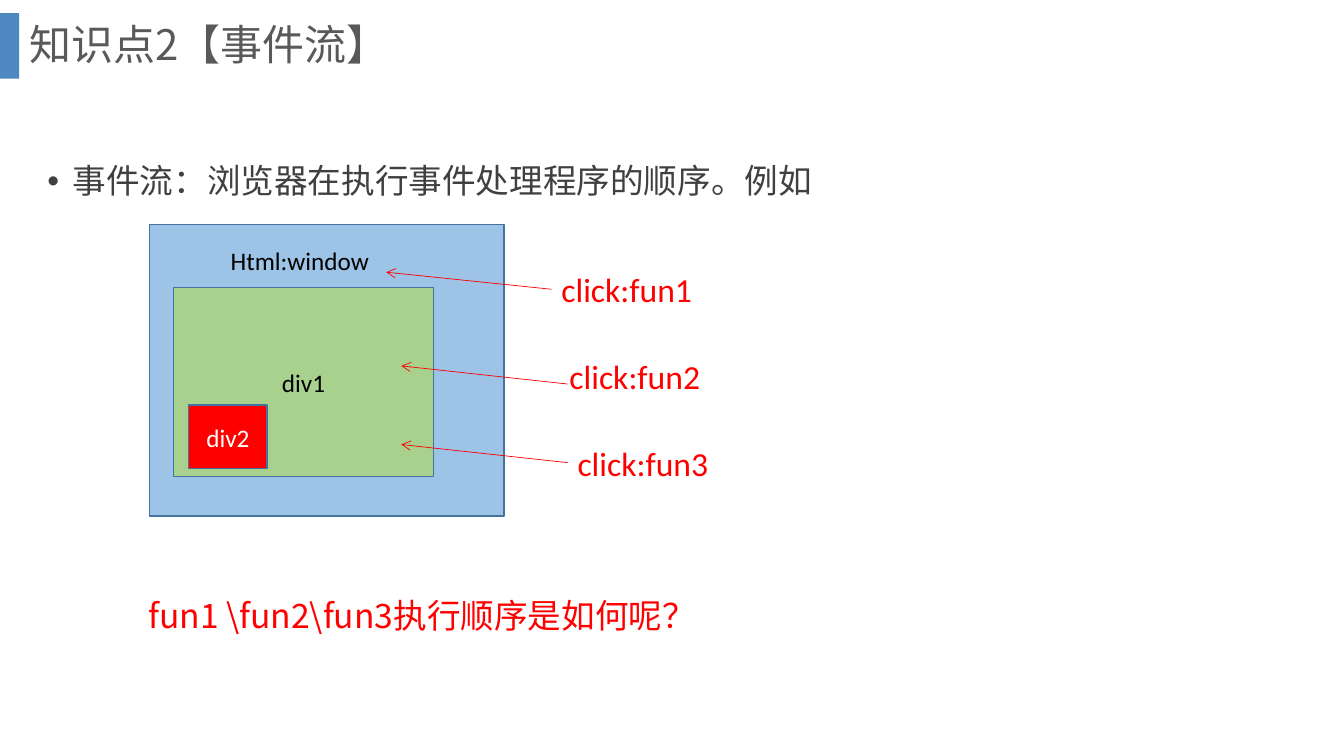
from lxml import etree
from pptx import Presentation
from pptx.dml.color import RGBColor
from pptx.enum.shapes import MSO_CONNECTOR, MSO_SHAPE
from pptx.enum.text import MSO_ANCHOR, MSO_AUTO_SIZE, PP_ALIGN
from pptx.oxml.ns import qn
from pptx.util import Inches, Pt

RECTANGLE = MSO_SHAPE.RECTANGLE
STRAIGHT = MSO_CONNECTOR.STRAIGHT
MIDDLE, TOP = MSO_ANCHOR.MIDDLE, MSO_ANCHOR.TOP
LEFT, CENTER = PP_ALIGN.LEFT, PP_ALIGN.CENTER
NO_AUTOFIT = MSO_AUTO_SIZE.NONE
CHINESE, LATIN = "Noto Sans CJK SC", "Calibri"
RED = "FF0000"


def rgb(color):
    return RGBColor.from_string(color)


def add_run(paragraph, text, size, color, font):
    """Add a run, using the font for both Latin and East Asian letters."""
    run = paragraph.add_run()
    run.text = text
    run.font.size = Pt(size)
    run.font.color.rgb = rgb(color)
    run.font.name = font
    etree.SubElement(run.font._element, qn("a:ea"), typeface=font)


prs = Presentation()
prs.slide_width, prs.slide_height = Inches(13.33), Inches(7.5)
slide = prs.slides.add_slide(prs.slide_layouts[1])
shapes = slide.shapes

# Title with its accent bar
accent = shapes.add_shape(RECTANGLE, 0, Inches(0.13), Inches(0.19), Inches(0.65))
accent.shadow.inherit = False
accent.fill.solid()
accent.fill.fore_color.rgb = rgb("2E75B6")
accent_color = accent._element.spPr.find(qn("a:solidFill"))[0]
etree.SubElement(accent_color, qn("a:alpha"), val="85000")
accent.line.fill.background()

title = shapes.title
title.left, title.top = Inches(0.19), Inches(0)
title.width, title.height = Inches(12.66), Inches(0.93)
title.text_frame.vertical_anchor = MIDDLE
title.text_frame.auto_size = NO_AUTOFIT
heading = title.text_frame.paragraphs[0]
heading.alignment = LEFT
heading.line_spacing = 0.9
add_run(heading, "知识点2【事件流】", 30, "595959", CHINESE)

# Definition above the diagram, question below it
body = slide.placeholders[1]
body.left, body.top = Inches(0.37), Inches(1.34)
body.width, body.height = Inches(12.05), Inches(5.32)
body.text_frame.vertical_anchor = TOP
body.text_frame.auto_size = NO_AUTOFIT
definition = body.text_frame.paragraphs[0]
question = body.text_frame.add_paragraph()
for paragraph, margin, indent, bullet, before, text, color in (
    (definition, 0.25, -0.25, "a:buChar", 0,
     "事件流：浏览器在执行事件处理程序的顺序。例如", "404040"),
    (question, 1, 0, "a:buNone", 267,
     "fun1 \\fun2\\fun3执行顺序是如何呢？", RED),
):
    properties = paragraph._p.get_or_add_pPr()
    properties.set("marL", str(Inches(margin)))
    properties.set("indent", str(Inches(indent)))
    marker = etree.SubElement(properties, qn(bullet))
    if bullet == "a:buChar":
        marker.set("char", "•")
    paragraph.line_spacing = 1.5
    paragraph.space_before = Pt(before)
    add_run(paragraph, text, 24, color, CHINESE)

# Nested elements, from the outside in
for left, top, width, height, fill, label, color in (
    (1.48, 2.23, 3.52, 2.89, "9DC3E6", None, None),
    (1.72, 2.85, 2.58, 1.88, "A9D18E", "div1", "000000"),
    (1.87, 4.02, 0.78, 0.63, RED, "div2", "FFFFFF"),
):
    element = shapes.add_shape(
        RECTANGLE, Inches(left), Inches(top), Inches(width), Inches(height))
    element.shadow.inherit = False
    element.fill.solid()
    element.fill.fore_color.rgb = rgb(fill)
    element.line.color.rgb = rgb("43739E")
    element.line.width = Pt(1)
    if label:
        element.text_frame.vertical_anchor = MIDDLE
        caption = element.text_frame.paragraphs[0]
        caption.alignment = CENTER
        add_run(caption, label, 18, color, LATIN)

# Window label and click handlers
for left, top, width, height, text, size, color in (
    (2.19, 2.38, 1.8, 0.4, "Html:window", 18, "000000"),
    (5.47, 2.62, 2.03, 0.5, "click:fun1", 24, RED),
    (5.55, 3.48, 2.03, 0.5, "click:fun2", 24, RED),
    (5.63, 4.34, 2.03, 0.5, "click:fun3", 24, RED),
):
    label_box = shapes.add_textbox(
        Inches(left), Inches(top), Inches(width), Inches(height))
    label_box.text_frame.word_wrap = True
    add_run(label_box.text_frame.paragraphs[0], text, size, color, LATIN)

# Arrows from each handler to its element
for start_x, start_y, end_x, end_y in (
    (5.47, 2.87, 3.83, 2.7),
    (5.63, 3.81, 3.98, 3.63),
    (5.63, 4.59, 3.98, 4.41),
):
    arrow = shapes.add_connector(
        STRAIGHT, Inches(start_x), Inches(start_y), Inches(end_x), Inches(end_y))
    arrow.line.color.rgb = rgb(RED)
    arrow.line.width = Pt(0.5)
    etree.SubElement(arrow.line._get_or_add_ln(), qn("a:tailEnd"), type="arrow")
    etree.SubElement(arrow._element.spPr, qn("a:effectLst"))

prs.save("out.pptx")
